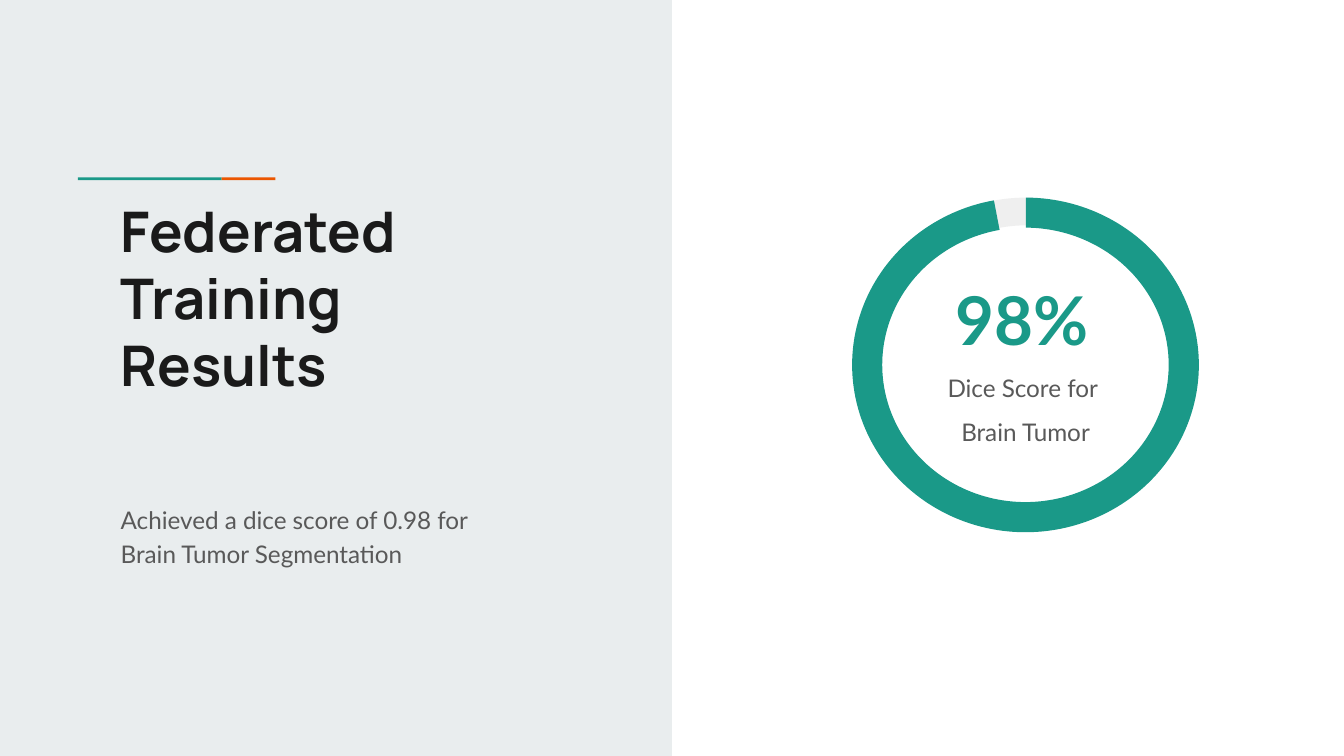
from pptx import Presentation
from pptx.dml.color import RGBColor
from pptx.enum.shapes import MSO_SHAPE
from pptx.enum.text import MSO_ANCHOR, PP_ALIGN
from pptx.util import Inches, Pt

RECTANGLE = MSO_SHAPE.RECTANGLE
BLOCK_ARC = MSO_SHAPE.BLOCK_ARC
TOP = MSO_ANCHOR.TOP
LEFT = PP_ALIGN.LEFT
CENTER = PP_ALIGN.CENTER

SLIDE_WIDTH = 10
SLIDE_HEIGHT = SLIDE_WIDTH * 9 / 16

COLORS = {
    "panel": "E9EDEE",
    "teal": "1A9988",
    "orange": "EB5600",
    "track": "EFEFEF",
    "title": "1A1A1A",
    "body": "595959",
}


def add_filled_shape(page, kind, bounds, color):
    shape = page.shapes.add_shape(kind, *(Inches(value) for value in bounds))
    shape.shadow.inherit = False
    shape.fill.solid()
    shape.fill.fore_color.rgb = RGBColor.from_string(COLORS[color])
    shape.line.fill.background()
    return shape


def add_arc(page, bounds, color, start, end, thickness):
    """Add a ring segment; start and end are clockwise degrees from the right."""
    arc = add_filled_shape(page, BLOCK_ARC, bounds, color)
    # Angles are stored in 1/60000 degree, adjustments in 1/100000.
    arc.adjustments[0] = start * 0.6
    arc.adjustments[1] = end * 0.6
    arc.adjustments[2] = thickness
    return arc


def add_text(page, bounds, text, size, color, font="Lato", bold=False,
             align=LEFT, line_spacing=1.0, gap=0):
    """Add a text box; gap is the space in points between its paragraphs."""
    box = page.shapes.add_textbox(*(Inches(value) for value in bounds))
    frame = box.text_frame
    frame.word_wrap = True
    frame.vertical_anchor = TOP
    frame.margin_left = frame.margin_right = Inches(0.1)
    frame.margin_top = frame.margin_bottom = Inches(0.1)
    frame.text = text
    for index, para in enumerate(frame.paragraphs):
        para.alignment = align
        para.line_spacing = line_spacing
        if index:
            para.space_before = Pt(gap)
        for span in para.runs:
            span.font.name = font
            span.font.size = Pt(size)
            span.font.bold = bold
            span.font.color.rgb = RGBColor.from_string(COLORS[color])


def add_left_panel(page):
    add_filled_shape(page, RECTANGLE, (0, 0, SLIDE_WIDTH / 2, SLIDE_HEIGHT), "panel")
    add_filled_shape(page, RECTANGLE, (0.58, 1.32, 1.07, 0.02), "teal")
    add_filled_shape(page, RECTANGLE, (1.65, 1.32, 0.4, 0.02), "orange")
    add_text(page, (0.8, 1.36, 3.09, 1.85), "Federated Training Results",
             30, "title", font="Manrope", bold=True)
    add_text(page, (0.8, 3.63, 2.93, 0.79),
             "Achieved a dice score of 0.98 for Brain Tumor Segmentation",
             13, "body", line_spacing=1.15)


def add_score_ring(page):
    add_text(page, (6.82, 1.88, 1.57, 0.7), "98%", 36, "teal",
             bold=True, align=CENTER, line_spacing=1.15)
    add_text(page, (6.69, 2.77, 1.88, 0.7), "Dice Score for \nBrain Tumor",
             13, "body", align=CENTER, line_spacing=0.5, gap=16)
    track = add_arc(page, (6.34, 1.47, 2.58, 2.68), "track", 78.36, 91.27, 0.08)
    track.rotation = 180
    add_arc(page, (6.34, 1.47, 2.58, 2.49), "teal", 270.18, 259.15, 0.09)


def main():
    deck = Presentation()
    deck.slide_width = Inches(SLIDE_WIDTH)
    deck.slide_height = Inches(SLIDE_HEIGHT)
    page = deck.slides.add_slide(deck.slide_layouts[6])
    add_left_panel(page)
    add_score_ring(page)
    deck.save("out.pptx")


if __name__ == "__main__":
    main()
